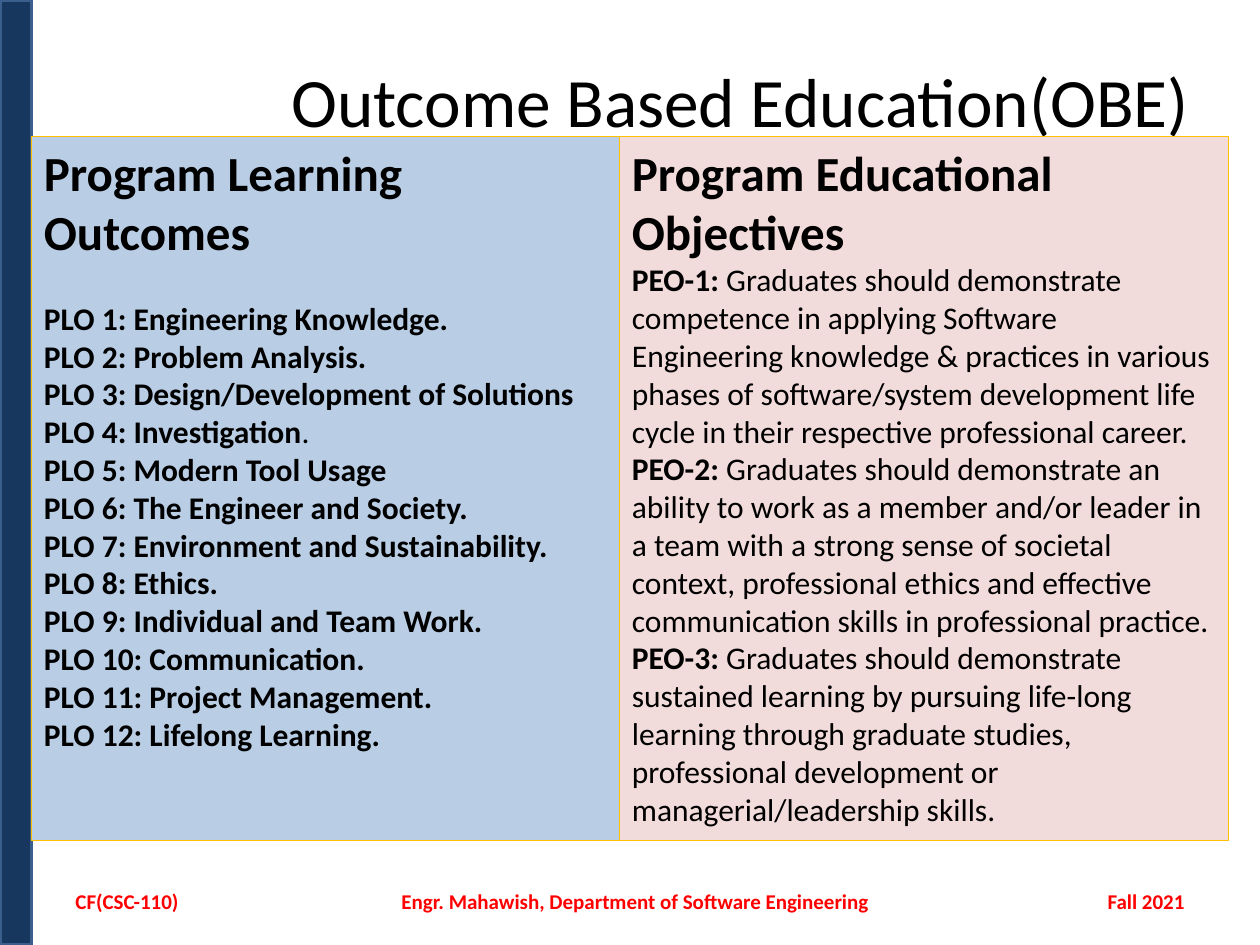
import pptx
import pptx.util
import pptx.dml.color
import pptx.enum.shapes
import pptx.enum.text
from dataclasses import dataclass

Pt = pptx.util.Pt
RGB = pptx.dml.color.RGBColor.from_string
ALIGN = pptx.enum.text.PP_ALIGN
ANCHOR = pptx.enum.text.MSO_ANCHOR


@dataclass
class Theme:
    font: str = "Calibri"
    text: str = "000000"
    footer: str = "FF0000"
    bar: str = "17375E"
    bar_line: str = "3A5F8C"
    outcomes: str = "B9CDE5"
    objectives: str = "F2DCDB"
    panel_line: str = "FFC000"
    title_size: float = 39.6
    heading_size: int = 28
    body_size: int = 18
    footer_size: int = 12


theme = Theme()


def add_rect(left, top, width, height, fill, line, line_width):
    sp = s.shapes.add_shape(pptx.enum.shapes.MSO_SHAPE.RECTANGLE,
                            Pt(left), Pt(top), Pt(width), Pt(height))
    sp.shadow.inherit = False
    sp.fill.solid()
    sp.fill.fore_color.rgb = RGB(fill)
    sp.line.color.rgb = RGB(line)
    sp.line.width = Pt(line_width)
    return sp


def add_run(p, text, size, color, bold=False):
    r = p.add_run()
    r.text = text
    r.font.name = theme.font
    r.font.size = Pt(size)
    r.font.bold = bold
    r.font.color.rgb = RGB(color)


prs = pptx.Presentation()
prs.slide_width, prs.slide_height = Pt(720), Pt(540)
s = prs.slides.add_slide(prs.slide_layouts[5])

# Title
title = s.shapes.title
title.left, title.top, title.width, title.height = Pt(156), Pt(12), Pt(534), Pt(90)
title.text_frame.vertical_anchor = ANCHOR.MIDDLE
p = title.text_frame.paragraphs[0]
p.alignment = ALIGN.CENTER
add_run(p, "Outcome Based Education(OBE)", theme.title_size, theme.text)

add_rect(0, 0, 18, 540, theme.bar, theme.bar_line, 2)

# Panels: each body line is a bold part and a regular part
outcomes = [
    "Engineering Knowledge.", "Problem Analysis.",
    "Design/Development of Solutions", "Investigation",
    "Modern Tool Usage", "The Engineer and Society.",
    "Environment and Sustainability.", "Ethics.",
    "Individual and Team Work.", "Communication.",
    "Project Management.", "Lifelong Learning.",
]
outcome_lines = [(f"PLO {n}: {name}", "." if name == "Investigation" else "")
                 for n, name in enumerate(outcomes, 1)]
objectives = [
    "demonstrate competence in applying Software Engineering knowledge & "
    "practices in various phases of software/system development life cycle "
    "in their respective professional career.",
    "demonstrate an ability to work as a member and/or leader in a team with "
    "a strong sense of societal context, professional ethics and effective "
    "communication skills in professional practice.",
    "demonstrate sustained learning by pursuing life-long learning through "
    "graduate studies, professional development or managerial/leadership skills.",
]
objective_lines = [(f"PEO-{n}:", f" Graduates should {goal}")
                   for n, goal in enumerate(objectives, 1)]
panels = [
    (18, 342, theme.outcomes, "Program Learning Outcomes", 22, outcome_lines),
    (354, 348, theme.objectives, "Program Educational Objectives", 0, objective_lines),
]
for left, width, fill, heading, gap, lines in panels:
    sp = add_rect(left, 78, width, 402.5, fill, theme.panel_line, 0.75)
    tf = sp.text_frame
    tf.word_wrap = True
    tf.vertical_anchor = ANCHOR.TOP
    p = tf.paragraphs[0]
    p.alignment = ALIGN.LEFT
    add_run(p, heading, theme.heading_size, theme.text, True)
    for i, (strong, regular) in enumerate(lines):
        p = tf.add_paragraph()
        p.alignment = ALIGN.LEFT
        if i == 0:
            p.space_before = Pt(gap)
        add_run(p, strong, theme.body_size, theme.text, True)
        if regular:
            add_run(p, regular, theme.body_size, theme.text)

# Footer
footers = [
    (36, 168, ALIGN.LEFT, "CF(CSC-110)"),
    (210, 306, ALIGN.CENTER, "Engr. Mahawish, Department of Software Engineering"),
    (516, 168, ALIGN.RIGHT, "Fall 2021"),
]
for left, width, align, text in footers:
    tf = s.shapes.add_textbox(Pt(left), Pt(500.5), Pt(width), Pt(28.75)).text_frame
    tf.word_wrap = True
    tf.vertical_anchor = ANCHOR.MIDDLE
    p = tf.paragraphs[0]
    p.alignment = align
    add_run(p, text, theme.footer_size, theme.footer, True)

prs.save("out.pptx")
